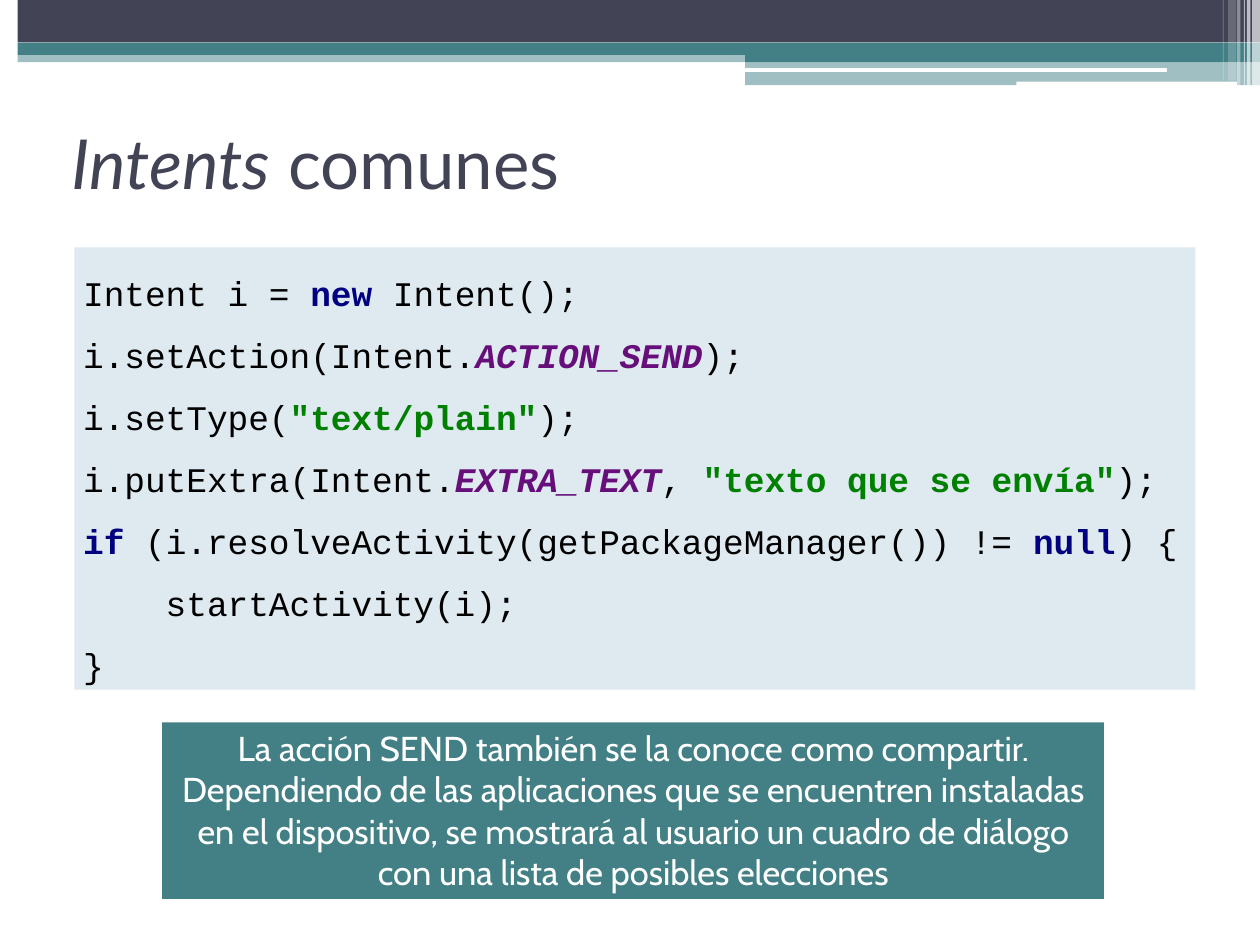
"""Build the slide on common intents: banner, title, code and note."""
import pptx
import pptx.util
import pptx.dml.color
import pptx.enum.shapes
import pptx.enum.text
import pptx.oxml
import pptx.oxml.ns

HUES = {"dark": "424456", "teal": "438086", "white": "FFFFFF", "pale": "DEE9F0",
        "plain": "000000", "key": "000080", "const": "660E7A", "text": "008000"}
FORM = pptx.enum.shapes.MSO_SHAPE
ANCHOR = pptx.enum.text.MSO_ANCHOR
FIT = pptx.enum.text.MSO_AUTO_SIZE.SHAPE_TO_FIT_TEXT

deck = pptx.Presentation()
deck.slide_width = pptx.util.Inches(14.22)
deck.slide_height = pptx.util.Inches(10.66)
slide = deck.slides.add_slide(deck.slide_layouts[6])
col, row = deck.slide_width / 100, deck.slide_height / 100


def block(left, top, width, height, hue, alpha=100, form=FORM.RECTANGLE):
    shape = slide.shapes.add_shape(form, int(left * col), int(top * row),
                                   int(width * col), int(height * row))
    shape.shadow.inherit = False
    shape.line.fill.background()
    shape.fill.solid()
    shape.fill.fore_color.rgb = pptx.dml.color.RGBColor.from_string(HUES[hue])
    if alpha < 100:
        tone = shape.fill._xPr.find(".//" + pptx.oxml.ns.qn("a:srgbClr"))
        mark = pptx.oxml.parse_xml(
            f'<a:alpha {pptx.oxml.ns.nsdecls("a")} val="{alpha * 1000}"/>')
        tone.append(mark)
    return shape


def style(run, face, size, hue, bold=False, slant=False):
    run.font.name, run.font.size = face, pptx.util.Pt(size)
    run.font.bold, run.font.italic = bold, slant
    run.font.color.rgb = pptx.dml.color.RGBColor.from_string(HUES[hue])


half = 59.14
for left, top, height, hue, alpha in [
        (0, 5.35, 1.22, "teal", 50), (0, 0, 4.5, "dark", 100),
        (0, 4.5, 1.31, "teal", 100), (half, 5.25, 1.31, "teal", 100),
        (half, 6.38, 2.63, "teal", 50)]:
    block(left, top, 100 - left, height, hue, alpha)
for left, top, width, height in [(half, 7.22, 33.47, 0.38), (80.66, 8.63, 17.51, 0.56)]:
    block(left, top, width, height, "white", form=FORM.ROUNDED_RECTANGLE)
for left, width, height, alpha in [
        (99.37, 0.63, 9.1, 65), (98.95, 0.28, 9.1, 65), (98.73, 0.07, 9.1, 60),
        (98.17, 0.28, 9.1, 40), (97.47, 0.63, 8.54, 20), (97.05, 0.07, 8.54, 30)]:
    block(left, 0, width, height, "white", alpha)
block(0, 0, 1.41, 7.13, "white")

title = slide.shapes.add_textbox(int(4.99 * col), int(9.38 * row),
                                 int(90 * col), int(15.57 * row)).text_frame
title.word_wrap = True
title.vertical_anchor = ANCHOR.MIDDLE
for words, slant in [("Intents", True), (" comunes", False)]:
    run = title.paragraphs[0].add_run()
    run.text = words
    style(run, "Lato", 56, "dark", slant=slant)

lines = [
    [("plain", "Intent i = "), ("key", "new "), ("plain", "Intent();")],
    [("plain", "i.setAction(Intent."), ("const", "ACTION_SEND"), ("plain", ");")],
    [("plain", "i.setType("), ("text", '"text/plain"'), ("plain", ");")],
    [("plain", "i.putExtra(Intent."), ("const", "EXTRA_TEXT"), ("plain", ", "),
     ("text", '"texto que se envía"'), ("plain", ");")],
    [("key", "if "), ("plain", "(i.resolveActivity(getPackageManager()) != "),
     ("key", "null"), ("plain", ") {")],
    [("plain", "    startActivity(i);")],
    [("plain", "}")],
]
code = block(5.91, 26.17, 88.96, 46.81, "pale").text_frame
code.word_wrap = False
code.auto_size = FIT
code.vertical_anchor = ANCHOR.MIDDLE
for count, line in enumerate(lines):
    para = code.add_paragraph() if count else code.paragraphs[0]
    para.alignment = pptx.enum.text.PP_ALIGN.LEFT
    para.line_spacing = 1.5
    for hue, words in line:
        run = para.add_run()
        run.text = words
        style(run, "Courier New", 28, hue, hue != "plain", hue == "const")

note = block(12.87, 76.45, 74.75, 18.67, "teal").text_frame
note.word_wrap = True
note.auto_size = FIT
note.vertical_anchor = ANCHOR.TOP
note.text = ("La acción SEND también se la conoce como compartir. Dependiendo de las "
             "aplicaciones que se encuentren instaladas en el dispositivo, se mostrará "
             "al usuario un cuadro de diálogo con una lista de posibles elecciones")
note.paragraphs[0].alignment = pptx.enum.text.PP_ALIGN.CENTER
style(note.paragraphs[0].runs[0], "Cabin", 28, "white")

deck.save("out.pptx")
